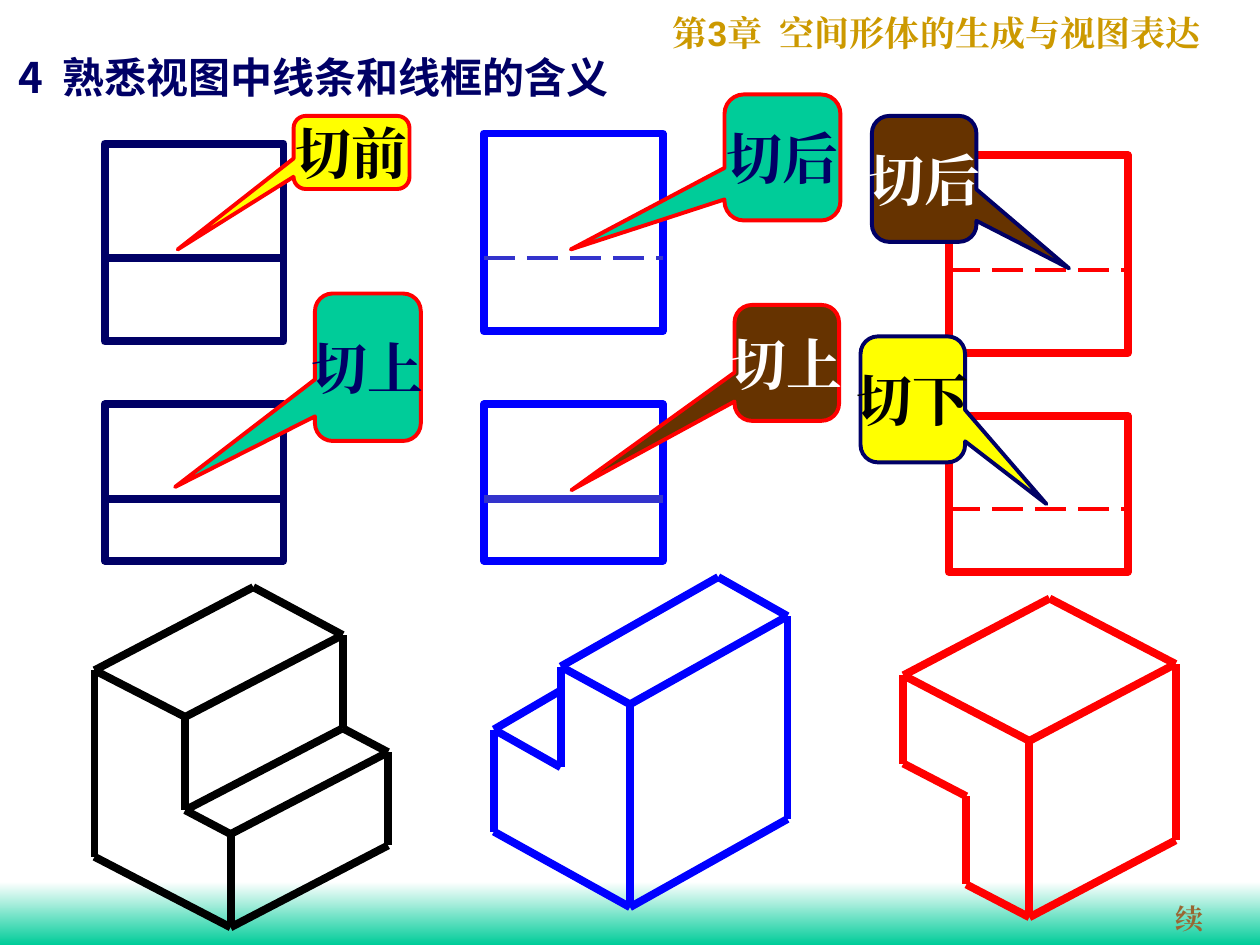
from pptx import Presentation
from pptx import util as u
from pptx.dml.color import RGBColor
from pptx.enum import dml, shapes, text
from pptx.oxml import ns
from lxml import etree

PX = 9144  # 100 px to the inch
SERIF, SANS, CJK = "Times New Roman", "Arial", "Noto Sans CJK SC"
NAVY, BLUE, RED, GREEN = "000066", "0000FF", "FF0000", "00CC99"
YELLOW, BROWN, BLACK, WHITE = "FFFF00", "663300", "000000", "FFFFFF"
THICK, THIN = 4.5, 2.25

# Each solid: box, colour, corners relative to the box, edges as corner pairs
STEPPED = ((75, 466, 233, 270), BLACK,
           dict(a=(126, 0), b=(0, 66), c=(72, 103), d=(197, 38), e=(72, 177), f=(108, 196),
                g=(233, 131), h=(197, 112), i=(0, 214), j=(108, 270), k=(233, 205)),
           "ab bc cd da bi ij jk kg gf fj ce ef eh hd hg")
BACK_CUT = ((392, 458, 233, 262), BLUE,
            dict(a=(178, 0), b=(53, 71), c=(108, 101), d=(233, 31), e=(53, 151),
                 f=(0, 121), g=(53, 90), h=(0, 202), i=(108, 262), j=(233, 192)),
            "ab bc cd da be ef fg fh hi ij jd ci")
UNDERCUT = ((717, 475, 216, 253), RED,
            dict(a=(116, 0), b=(0, 61), c=(100, 113), d=(216, 52), e=(0, 131),
                 f=(50, 157), g=(50, 227), h=(100, 253), i=(216, 192)),
            "ab bc cd da be ef fg gh hi id ch")

# Each view: box, frame colour, divider height, divider colour, dashed
VIEWS = [
    ((753, 123, 142, 157), RED, 91, RED, True),
    ((753, 330, 142, 124), RED, 74, RED, True),
    ((83, 114, 142, 157), NAVY, 91, NAVY, False),
    ((83, 321, 142, 124), NAVY, 75, NAVY, False),
    ((384, 106, 142, 157), BLUE, 99, "3333CC", True),
    ((384, 321, 142, 124), BLUE, 75, "3333CC", False),
]

# Each callout: box, words, tip from the box centre, fill, line, text colour
CALLOUTS = [
    ((250, 233, 84, 117), "切上", (-153, 95), GREEN, RED, NAVY),
    ((575, 75, 92, 100), "切后", (-168, 73), GREEN, RED, NAVY),
    ((233, 92, 92, 58), "切前", (-138, 77), YELLOW, RED, BLACK),
    ((692, 92, 83, 100), "切后", (115, 71), BROWN, NAVY, WHITE),
    ((683, 267, 83, 100), "切下", (106, 83), YELLOW, NAVY, BLACK),
    ((583, 242, 83, 92), "切上", (-171, 101), BROWN, RED, WHITE),
]


def emu(lengths):
    return [length * PX for length in lengths]


def paint(color_format, color):
    color_format.rgb = RGBColor.from_string(color)


def set_line(shape, color, width):
    paint(shape.line.color, color)
    shape.line.width = u.Pt(width)


def add_line(parent, start, end, color, width=THICK, dashed=False):
    line = parent.add_connector(shapes.MSO_CONNECTOR.STRAIGHT, *emu(start + end))
    set_line(line, color, width)
    if dashed:
        line.line.dash_style = dml.MSO_LINE.LONG_DASH
    etree.SubElement(line._element.spPr, ns.qn("a:effectLst"))


def add_span(para, words, size, color, font=SERIF):
    span = para.add_run()
    span.text = words
    span.font.size, span.font.bold, span.font.name = u.Pt(size), True, font
    paint(span.font.color, color)
    east_asian = etree.SubElement(span._r.get_or_add_rPr(), ns.qn("a:ea"))
    east_asian.set("typeface", font)


def add_label(page, box, spans, size, color, wrap=False, centred=False):
    """Add a text box of one paragraph from (words, font) pairs."""
    frame = page.shapes.add_textbox(*emu(box)).text_frame
    frame.word_wrap = wrap
    frame.auto_size = text.MSO_AUTO_SIZE.SHAPE_TO_FIT_TEXT
    para = frame.paragraphs[0]
    if centred:
        para.alignment = text.PP_ALIGN.CENTER
    for words, font in spans:
        add_span(para, words, size, color, font)


def add_footer_band(page, box):
    band = page.shapes.add_shape(shapes.MSO_SHAPE.RECTANGLE, *emu(box))
    band.shadow.inherit = False
    band.line.fill.background()
    band.fill.gradient()
    band.fill.gradient_angle = 270
    for stop, color in zip(band.fill.gradient_stops, (WHITE, GREEN)):
        paint(stop.color, color)


def add_solid(page, box, color, corners, edges):
    left, top = box[:2]
    group = page.shapes.add_group_shape().shapes
    places = {name: (left + x, top + y) for name, (x, y) in corners.items()}
    for start, end in edges.split():
        add_line(group, places[start], places[end], color)


def add_view(parent, box, color, height, divider_color, dashed):
    """Add a framed view with one line across it."""
    left, top, width, _ = box
    frame = parent.add_shape(shapes.MSO_SHAPE.RECTANGLE, *emu(box))
    frame.shadow.inherit = False
    frame.fill.background()
    set_line(frame, color, THICK)
    add_line(parent, (left, top + height), (left + width, top + height),
             divider_color, THIN if dashed else THICK, dashed)


def add_callout(page, box, words, tip, fill, line, color):
    callout = page.shapes.add_shape(shapes.MSO_SHAPE.ROUNDED_RECTANGULAR_CALLOUT, *emu(box))
    callout.shadow.inherit = False
    callout.fill.solid()
    paint(callout.fill.fore_color, fill)
    set_line(callout, line, THIN)
    for axis in range(2):
        callout.adjustments[axis] = tip[axis] / box[2 + axis]
    frame = callout.text_frame
    frame.word_wrap = False
    frame.vertical_anchor = text.MSO_ANCHOR.MIDDLE
    para = frame.paragraphs[0]
    para.alignment = text.PP_ALIGN.CENTER
    add_span(para, words, 32, color)


def main():
    deck = Presentation()
    deck.slide_width, deck.slide_height = emu((1000, 750))
    page = deck.slides.add_slide(deck.slide_layouts[6])
    add_footer_band(page, (0, 700, 1000, 50))
    add_label(page, (524, 4, 449, 77),
              [("第", SERIF), ("3", SANS), ("章  空间形体的生成与视图表达", SERIF)],
              20, "CC9900", wrap=True)
    add_label(page, (5, 36, 496, 50), [("4  熟悉视图中线条和线框的含义", CJK)], 24, NAVY)
    for solid in (STEPPED, BACK_CUT, UNDERCUT):
        add_solid(page, *solid)
    views = page.shapes.add_group_shape().shapes
    for view in VIEWS:
        add_view(views, *view)
    add_label(page, (923, 711, 42, 37), [("续", SERIF)], 16, "996633", centred=True)
    for callout in CALLOUTS:
        add_callout(page, *callout)
    deck.save("out.pptx")


if __name__ == "__main__":
    main()
